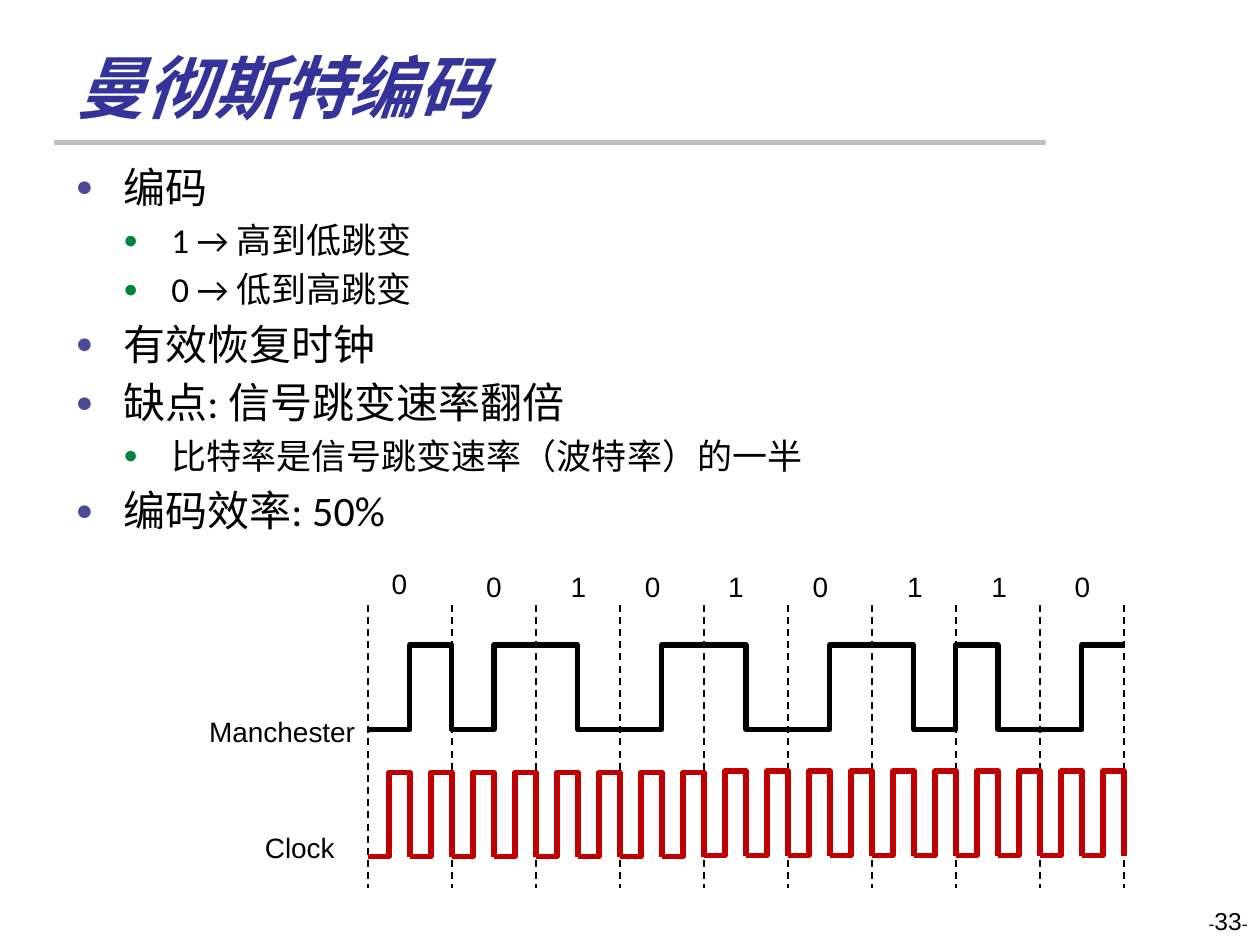
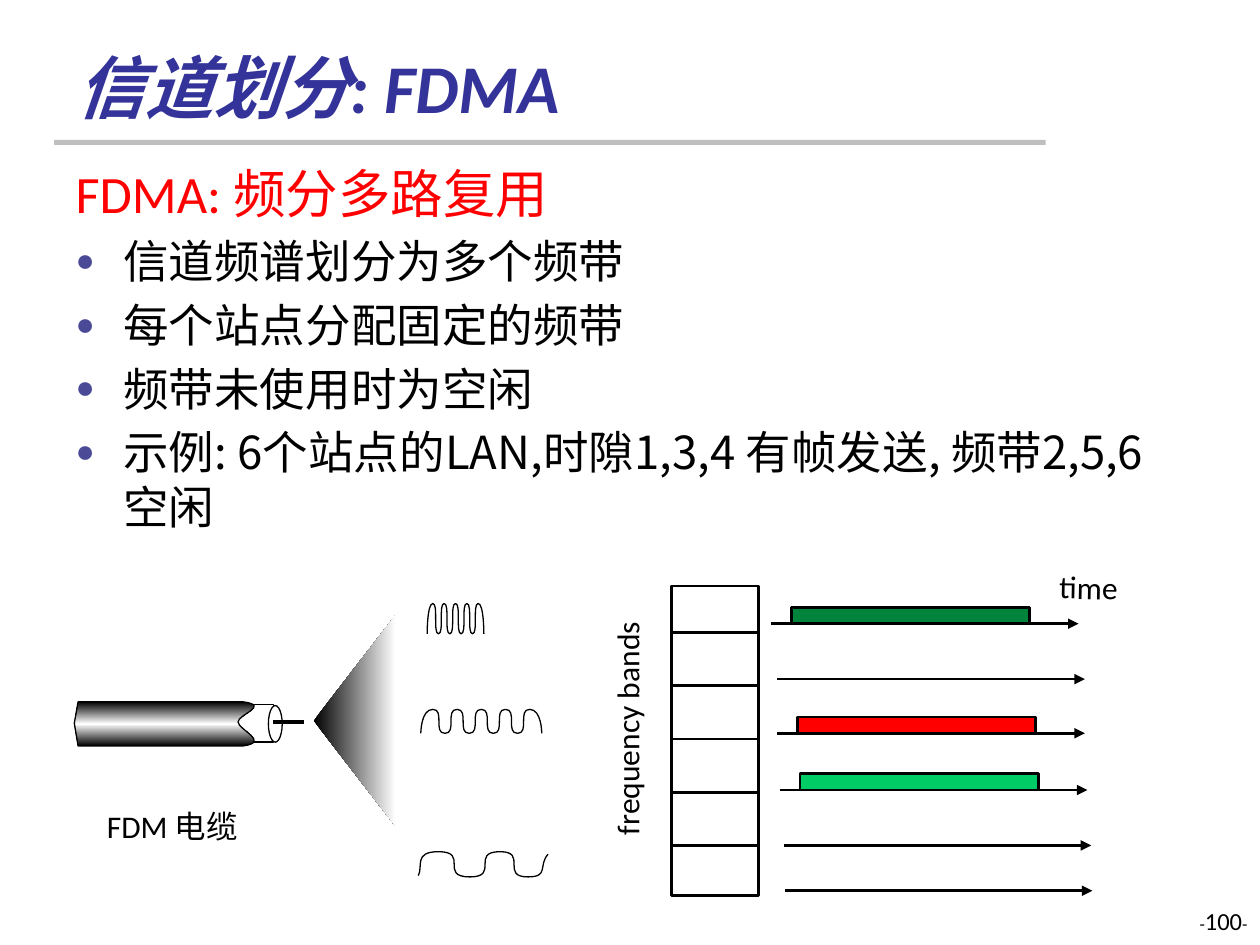
from pptx import Presentation
from pptx.dml.color import RGBColor
from pptx.enum.dml import MSO_LINE
from pptx.enum.shapes import MSO_CONNECTOR, MSO_SHAPE
from pptx.enum.text import MSO_ANCHOR, MSO_AUTO_SIZE, PP_ALIGN
from pptx.oxml.ns import qn
from pptx.util import Inches, Pt
from copy import deepcopy
from lxml import etree

LEFT, CENTER, RIGHT = PP_ALIGN.LEFT, PP_ALIGN.CENTER, PP_ALIGN.RIGHT
TOP, BOTTOM = MSO_ANCHOR.TOP, MSO_ANCHOR.BOTTOM
NO_FIT = MSO_AUTO_SIZE.NONE
RECT, OVAL = MSO_SHAPE.RECTANGLE, MSO_SHAPE.OVAL
STRAIGHT, DASH = MSO_CONNECTOR.STRAIGHT, MSO_LINE.DASH

COLORS = {
    "black": "000000", "white": "FFFFFF", "title": "333399", "rule": "BFBFBF",
    "bullet0": "4A4A97", "bullet1": "00843C", "clock": "C00000",
    "red": "FF0000", "green": "00843C", "light_green": "00CC66",
}
CALIBRI, ARIAL, NOTO = "Calibri", "Arial", "Noto Sans CJK SC"
INDENT = 0.38


def rgb(name):
    return RGBColor.from_string(COLORS[name])


def inches(*values):
    return [Inches(value) for value in values]


def straight(points):
    return [(point,) for point in points]


def wave_segments(xs, top, bottom):
    segments = []
    last = len(xs) - 2
    for i, (x0, x1) in enumerate(zip(xs, xs[1:])):
        y0, y1 = (top, bottom) if i % 2 else (bottom, top)
        lead = (x0 if i == 0 else x1, y0)
        trail = (x1 if i == last else x0, y1)
        segments.append((lead, trail, (x1, y1)))
    return segments


class Deck:
    def __init__(self):
        self.prs = Presentation()
        self.prs.slide_width, self.prs.slide_height = inches(10, 7.5)

    def new_slide(self, title, number, number_font):
        self.slide = self.prs.slides.add_slide(self.prs.slide_layouts[1])
        self.shapes = self.slide.shapes
        self.preset(RECT, 0.43, 1.11, 7.87, 0.04, "rule")
        heading = self.place(self.shapes.title, (0.51, 0.28, 8.25, 0.78), BOTTOM)
        heading.text = title
        heading.paragraphs[0].alignment = LEFT
        self.style(heading.paragraphs[0].runs[0], 39, CALIBRI, "title", True)
        self.label([("-", 10), (number, 14), ("-", 10)], (7.67, 7.14, 2.33, 0.5),
                   number_font, RIGHT, wrap=True)

    def place(self, holder, box, anchor):
        holder.left, holder.top, holder.width, holder.height = inches(*box)
        frame = holder.text_frame
        frame.auto_size, frame.vertical_anchor, frame.word_wrap = NO_FIT, anchor, True
        return frame

    def style(self, run, size, font=CALIBRI, color="black", emphasis=False):
        run.font.size, run.font.name = Pt(size), font
        run.font.bold = run.font.italic = emphasis
        run.font.color.rgb = rgb(color)
        latin = run.font._element.find(qn("a:latin"))
        latin.addnext(etree.Element(qn("a:ea"), typeface=CALIBRI))

    def bullet(self, paragraph, level, marked):
        paragraph.level = level
        props = paragraph._p.get_or_add_pPr()
        props.set("marL", str(Inches(INDENT * (level + 1))))
        props.set("indent", str(Inches(-INDENT)))
        if not marked:
            etree.SubElement(props, qn("a:buNone"))
            return
        color = etree.SubElement(props, qn("a:buClr"))
        etree.SubElement(color, qn("a:srgbClr"), val=COLORS[f"bullet{level}"])
        etree.SubElement(props, qn("a:buSzPct"), val="70000")
        etree.SubElement(props, qn("a:buFont"), typeface=ARIAL)
        etree.SubElement(props, qn("a:buChar"), char="●")

    def body(self, items, sizes, font=CALIBRI, heading=()):
        frame = self.place(self.slide.placeholders[1], (0.5, 1.23, 9, 5.83), TOP)
        rows = [(0, heading, 30)] if heading else []
        rows += [(level, [(text, font)], sizes[level]) for level, text in items]
        for i, (level, pieces, size) in enumerate(rows):
            paragraph = frame.add_paragraph() if i else frame.paragraphs[0]
            is_heading = bool(heading) and i == 0
            self.bullet(paragraph, level, not is_heading)
            paragraph.space_before = Pt(size * 0.2 if i else 0)
            for text, face in pieces:
                run = paragraph.add_run()
                run.text = text
                self.style(run, size, face, "red" if is_heading else "black")

    def label(self, pieces, box, font, align=LEFT, wrap=False, rotation=0):
        textbox = self.shapes.add_textbox(*inches(*box))
        textbox.rotation = rotation
        textbox.text_frame.word_wrap = wrap
        paragraph = textbox.text_frame.paragraphs[0]
        paragraph.alignment = align
        for text, size in pieces:
            run = paragraph.add_run()
            run.text = text
            self.style(run, size, font)

    def paint(self, shape, fill, line, width):
        shape.shadow.inherit = False
        if fill:
            shape.fill.solid()
            shape.fill.fore_color.rgb = rgb(fill)
        else:
            shape.fill.background()
        if line:
            shape.line.color.rgb = rgb(line)
            shape.line.width = Pt(width)
        else:
            shape.line.fill.background()
        return shape

    def preset(self, kind, x, y, w, h, fill, line=None, width=0.75):
        shape = self.shapes.add_shape(kind, *inches(x, y, w, h))
        return self.paint(shape, fill, line, width)

    def outline(self, start, segments, line=None, width=0.75, fill=None, close=False):
        builder = self.shapes.build_freeform(*inches(*start))
        points = [tuple(inches(*point)) for segment in segments for point in segment]
        builder.add_line_segments(points, close=close)
        shape = builder.convert_to_shape()
        strokes = iter(shape._element.spPr.findall(".//" + qn("a:lnTo")))
        for segment in segments:
            first, *others = [next(strokes) for _ in segment]
            for stroke in others:
                first.append(stroke[0])
                stroke.getparent().remove(stroke)
            if others:
                first.tag = qn("a:cubicBezTo")
        return self.paint(shape, fill, line, width)

    def gradient(self, shape, names, angle):
        shape.fill.gradient()
        shape.fill.gradient_angle = angle
        stops = shape._element.spPr.find(".//" + qn("a:gsLst"))
        while len(stops) < len(names):
            stops.append(deepcopy(stops[0]))
        for i, (stop, name) in enumerate(zip(shape.fill.gradient_stops, names)):
            stop.position = i / (len(names) - 1)
            stop.color.rgb = rgb(name)

    def line(self, x1, y1, x2, y2, width, dashed=False, arrow=False):
        connector = self.shapes.add_connector(STRAIGHT, *inches(x1, y1, x2, y2))
        connector.line.color.rgb = rgb("black")
        connector.line.width = Pt(width)
        if dashed:
            connector.line.dash_style = DASH
        if arrow:
            etree.SubElement(connector.line._get_or_add_ln(), qn("a:tailEnd"), type="triangle")
        etree.SubElement(connector._element.spPr, qn("a:effectLst"))


def manchester_slide(deck):
    deck.new_slide("曼彻斯特编码", "33", ARIAL)
    deck.body([
        (0, "编码"),
        (1, "1 → 高到低跳变"),
        (1, "0 → 低到高跳变"),
        (0, "有效恢复时钟"),
        (0, "缺点: 信号跳变速率翻倍"),
        (1, "比特率是信号跳变速率（波特率）的一半"),
        (0, "编码效率: 50%"),
    ], (24, 20))

    bits = "001010110"
    start, period, low, high = 2.92, 6 / 9, 5.79, 5.12
    bit_lefts = (3.01, 3.76, 4.43, 5.02, 5.68, 6.35, 7.1, 7.77, 8.43)
    for i, (bit, left) in enumerate(zip(bits, bit_lefts)):
        deck.label([(bit, 16)], (left, 4.47 if i else 4.45, 0.32, 0.36), ARIAL, CENTER)
    for i in range(len(bits) + 1):
        x = start + i * period
        deck.line(x, 4.8, x, 7.05, 1, dashed=True)

    levels = [level for bit in bits for level in ((high, low) if bit == "1" else (low, high))]
    signal = []
    for i, (before, after) in enumerate(zip(levels, levels[1:]), 1):
        if before != after:
            x = start + i * period / 2
            signal += [(x, before), (x, after)]
    signal.append((start + len(bits) * period, levels[-1]))
    deck.outline((start, levels[0]), straight(signal), "black", 3)

    tick = period / 4
    for i in range(2 * len(bits)):
        x = start + i * 2 * tick
        bottom = 6.8 if i < 8 else 6.79
        top = bottom - 0.67
        pulse = [(x + tick, bottom), (x + tick, top), (x + 2 * tick, top), (x + 2 * tick, bottom)]
        deck.outline((x, bottom), straight(pulse), "clock", 3)
    deck.label([("Manchester", 16)], (1.56, 5.62, 1.36, 0.36), ARIAL, CENTER)
    deck.label([("Clock", 16)], (1.93, 6.54, 0.9, 0.36), ARIAL, CENTER)


def fdma_slide(deck):
    deck.new_slide("信道划分: FDMA", "100", CALIBRI)
    deck.body([
        (0, "信道频谱划分为多个频带"),
        (0, "每个站点分配固定的频带"),
        (0, "频带未使用时为空闲"),
        (0, "示例: 6个站点的LAN,时隙1,3,4 有帧发送, 频带2,5,6空闲"),
    ], (26,), NOTO, [("FDMA: ", CALIBRI), ("频分多路复用", NOTO)])

    deck.preset(RECT, 5.33, 4.65, 0.69, 2.46, "white", "black", 1.5)
    for i in range(5):
        y = 5.02 + i * 1.69 / 4
        deck.line(5.33, y, 6.01, y, 1.5)
    bands = [(6.12, 4.95, "green"), (6.17, 5.39, None), (6.17, 5.82, "red"),
             (6.19, 6.27, "light_green"), (6.22, 6.71, None), (6.23, 7.07, None)]
    for x, y, frame_color in bands:
        deck.line(x, y, x + 2.44, y, 1.5, arrow=True)
        if frame_color:
            left, right, top, bottom = x + 0.16, x + 2.05, y - 0.13, y - 0.01
            deck.outline((left, bottom), straight([(left, top), (right, top), (right, bottom)]),
                         "black", 1.5, frame_color)
    deck.label([("frequency bands", 18)], (4.02, 5.57, 1.91, 0.4), CALIBRI, rotation=270)
    deck.label([("time", 18)], (8.31, 4.46, 0.67, 0.4), CALIBRI, rotation=1.1)

    spread = deck.outline((3.14, 4.88), straight([(2.49, 5.72), (3.14, 6.56)]), close=True)
    deck.gradient(spread, ["black", "white"], 0)
    deck.preset(RECT, 1.88, 5.59, 0.29, 0.3, "white", "black")
    sheath = straight([(0.59, 5.74), (0.62, 5.92), (1.93, 5.92)])
    sheath += [((2.15, 5.89), (1.89, 5.79), (1.89, 5.73)),
               ((1.89, 5.67), (2.15, 5.6), (1.93, 5.57))]
    cable = deck.outline((0.62, 5.57), sheath, "black", close=True)
    deck.gradient(cable, ["black", "white", "black"], 90)
    deck.preset(OVAL, 2.13, 5.6, 0.11, 0.29, "white", "black")
    deck.line(2.17, 5.73, 2.41, 5.73, 2.25)
    deck.label([("FDM 电缆", 18)], (0.75, 6.36, 1.25, 0.4), CALIBRI, wrap=True)

    for left, step, top, bottom in ((3.39, 0.045, 4.79, 5.03), (3.34, 0.096, 5.63, 5.82)):
        xs = [left + i * step for i in range(11)]
        deck.outline((left, bottom), wave_segments(xs, top, bottom), "black")
    slow_wave = wave_segments((3.32, 3.48, 3.73, 3.97, 4.19, 4.35), 6.76, 6.96)
    slow_wave[0] = ((3.36, 6.88), (3.28, 6.76), (3.48, 6.76))
    slow_wave[-1] = ((4.36, 6.96), (4.27, 6.87), (4.35, 6.78))
    deck.outline((3.32, 6.95), slow_wave, "black")


def main():
    deck = Deck()
    manchester_slide(deck)
    fdma_slide(deck)
    deck.prs.save("out.pptx")


if __name__ == "__main__":
    main()
